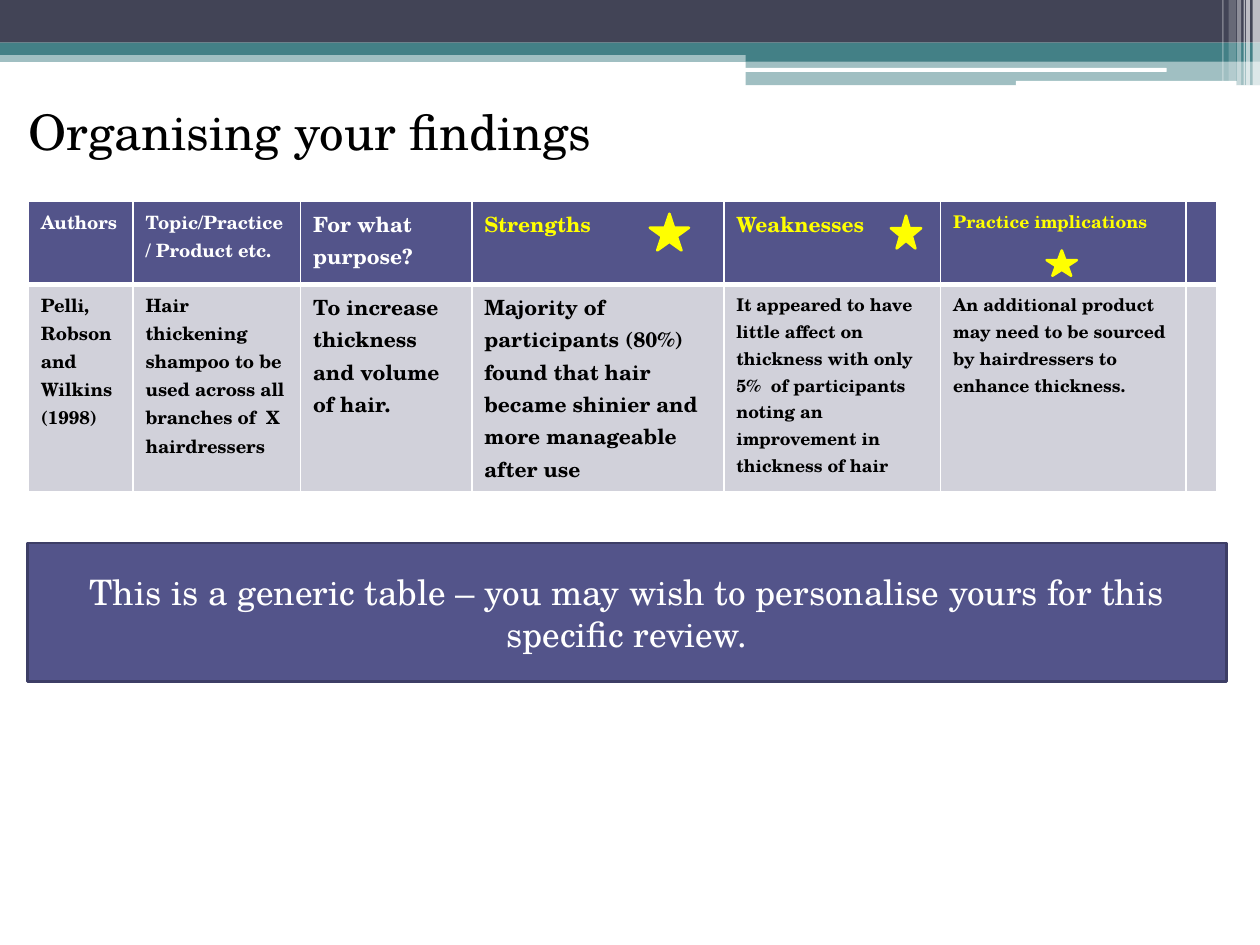
from lxml import etree
from pptx import Presentation
from pptx.dml.color import RGBColor
from pptx.enum.shapes import MSO_SHAPE
from pptx.enum.text import MSO_ANCHOR, MSO_AUTO_SIZE, PP_ALIGN
from pptx.oxml.ns import qn
from pptx.util import Cm, Pt

RECT, ROUND, STAR = MSO_SHAPE.RECTANGLE, MSO_SHAPE.ROUNDED_RECTANGLE, MSO_SHAPE.STAR_5_POINT
TOP, MIDDLE = MSO_ANCHOR.TOP, MSO_ANCHOR.MIDDLE
LEFT, CENTER = PP_ALIGN.LEFT, PP_ALIGN.CENTER
NO_FIT = MSO_AUTO_SIZE.NONE

WHITE = RGBColor(0xFF, 0xFF, 0xFF)
BLACK = RGBColor(0, 0, 0)
YELLOW = RGBColor(0xFF, 0xFF, 0)
SLATE = RGBColor(0x42, 0x44, 0x56)
TEAL = RGBColor(0x43, 0x80, 0x86)
INDIGO = RGBColor(0x53, 0x54, 0x8A)
NAVY = RGBColor(0x3D, 0x3E, 0x66)
PALE = RGBColor(0xD1, 0xD1, 0xDA)
FONT = "TeX Gyre Schola"

TITLE = "Organising your findings"
NOTE = "This is a generic table – you may wish to personalise yours for this specific review."

COLUMNS = [
    (2.11, ("Authors", 10.5, WHITE), ("Pelli, Robson and Wilkins (1998)", 10.5)),
    (3.38, ("Topic/Practice / Product etc.", 10.5, WHITE),
     ("Hair thickening shampoo to be used across all branches of  X hairdressers", 10.5)),
    (3.45, ("For what purpose?", 12, WHITE),
     ("To increase thickness and volume of hair.", 12)),
    (5.08, ("Strengths", 12, YELLOW),
     ("Majority of participants (80%) found that hair became shinier and more manageable after use", 12)),
    (4.37, ("Weaknesses", 12, YELLOW),
     ("It appeared to have little affect on thickness with only 5%  of participants "
      "noting an improvement in thickness of hair", 10)),
    (4.95, ("Practice implications", 10, YELLOW),
     ("An additional product may need to be sourced by hairdressers to enhance thickness.", 10)),
    (0.61, ("", 10, WHITE), ("", 10)),
]
ROW_HEIGHTS = [1.68, 4.13]

BANDS = [
    (RECT, 0, 1.02, 25.4, 0.23, TEAL, 50),
    (RECT, 0, 0, 25.4, 0.86, SLATE, 100),
    (RECT, 0, 0.86, 25.4, 0.25, TEAL, 100),
    (RECT, 15.03, 0.99, 10.37, 0.25, TEAL, 100),
    (RECT, 15.03, 1.23, 10.37, 0.49, TEAL, 50),
    (ROUND, 15.01, 1.37, 8.51, 0.08, WHITE, 100),
    (ROUND, 20.48, 1.63, 4.45, 0.1, WHITE, 100),
]
STRIPES = [
    (25.25, 0.15, 1.73, 65),
    (25.12, 0.08, 1.73, 65),
    (25.07, 0.03, 1.73, 60),
    (24.94, 0.08, 1.73, 40),
    (24.77, 0.15, 1.63, 20),
    (24.64, 0.03, 1.63, 30),
]
STARS = [(13.1, 4.31, 0.79, 0.74), (17.96, 4.35, 0.61, 0.66), (21.1, 5.05, 0.61, 0.51)]


def apply(target, values):
    for name, value in values.items():
        setattr(target, name, value)


def write(frame, text, size, color, bold=False, alignment=LEFT):
    frame.text = text
    paragraph = frame.paragraphs[0]
    paragraph.alignment = alignment
    apply(paragraph.font, {"name": FONT, "size": Pt(size), "bold": bold})
    paragraph.font.color.rgb = color


def draw(slide, kind, x, y, width, height, fill, opacity=100, outline=None):
    shape = slide.shapes.add_shape(kind, Cm(x), Cm(y), Cm(width), Cm(height))
    shape.shadow.inherit = False
    shape.fill.solid()
    shape.fill.fore_color.rgb = fill
    if opacity < 100:
        color = shape.fill._xPr.find(qn("a:solidFill"))[0]
        etree.SubElement(color, qn("a:alpha"), val=str(opacity * 1000))
    if outline is None:
        shape.line.fill.background()
    else:
        shape.line.color.rgb = outline
        shape.line.width = Pt(1.5)
    return shape


def border(cell, widths):
    properties = cell._tc.get_or_add_tcPr()
    for position, (side, width) in enumerate(widths.items()):
        edge = etree.Element(qn(f"a:ln{side}"), w=str(Pt(width)))
        fill = etree.SubElement(edge, qn("a:solidFill"))
        etree.SubElement(fill, qn("a:srgbClr"), val=str(WHITE))
        properties.insert(position, edge)


def fill_cell(cell, text, size, color, background, widths):
    cell.fill.solid()
    cell.fill.fore_color.rgb = background
    border(cell, widths)
    write(cell.text_frame, text, size, color, bold=True)


def add_findings(slide):
    widths = [column[0] for column in COLUMNS]
    table = slide.shapes.add_table(
        len(ROW_HEIGHTS), len(COLUMNS), Cm(0.57), Cm(4.06),
        Cm(sum(widths)), Cm(sum(ROW_HEIGHTS))).table
    for row, height in zip(table.rows, ROW_HEIGHTS):
        row.height = Cm(height)
    for index, (width, heading, finding) in enumerate(COLUMNS):
        table.columns[index].width = Cm(width)
        fill_cell(table.cell(0, index), *heading, INDIGO, {"L": 1, "R": 1, "T": 1, "B": 3})
        fill_cell(table.cell(1, index), *finding, BLACK, PALE, {"L": 1, "R": 1, "T": 3, "B": 1})


def main():
    deck = Presentation()
    deck.slide_width, deck.slide_height = Cm(25.4), Cm(19.05)
    slide = deck.slides.add_slide(deck.slide_layouts[5])

    for band in BANDS:
        draw(slide, *band)
    for x, width, height, opacity in STRIPES:
        draw(slide, RECT, x, 0, width, height, WHITE, opacity)

    title = slide.shapes.title
    apply(title, {"left": Cm(0), "top": Cm(1.9), "width": Cm(22.86), "height": Cm(1)})
    apply(title.text_frame, {"auto_size": NO_FIT, "vertical_anchor": TOP, "word_wrap": True,
                             "margin_left": Cm(0.58), "margin_top": Cm(0.15)})
    write(title.text_frame, TITLE, 28, BLACK)

    add_findings(slide)
    for star in STARS:
        draw(slide, STAR, *star, YELLOW, outline=YELLOW)

    note = draw(slide, RECT, 0.55, 10.95, 24.18, 2.79, INDIGO, outline=NAVY)
    apply(note.text_frame, {"word_wrap": True, "vertical_anchor": MIDDLE})
    write(note.text_frame, NOTE, 20, WHITE, alignment=CENTER)

    deck.save("out.pptx")


if __name__ == "__main__":
    main()
